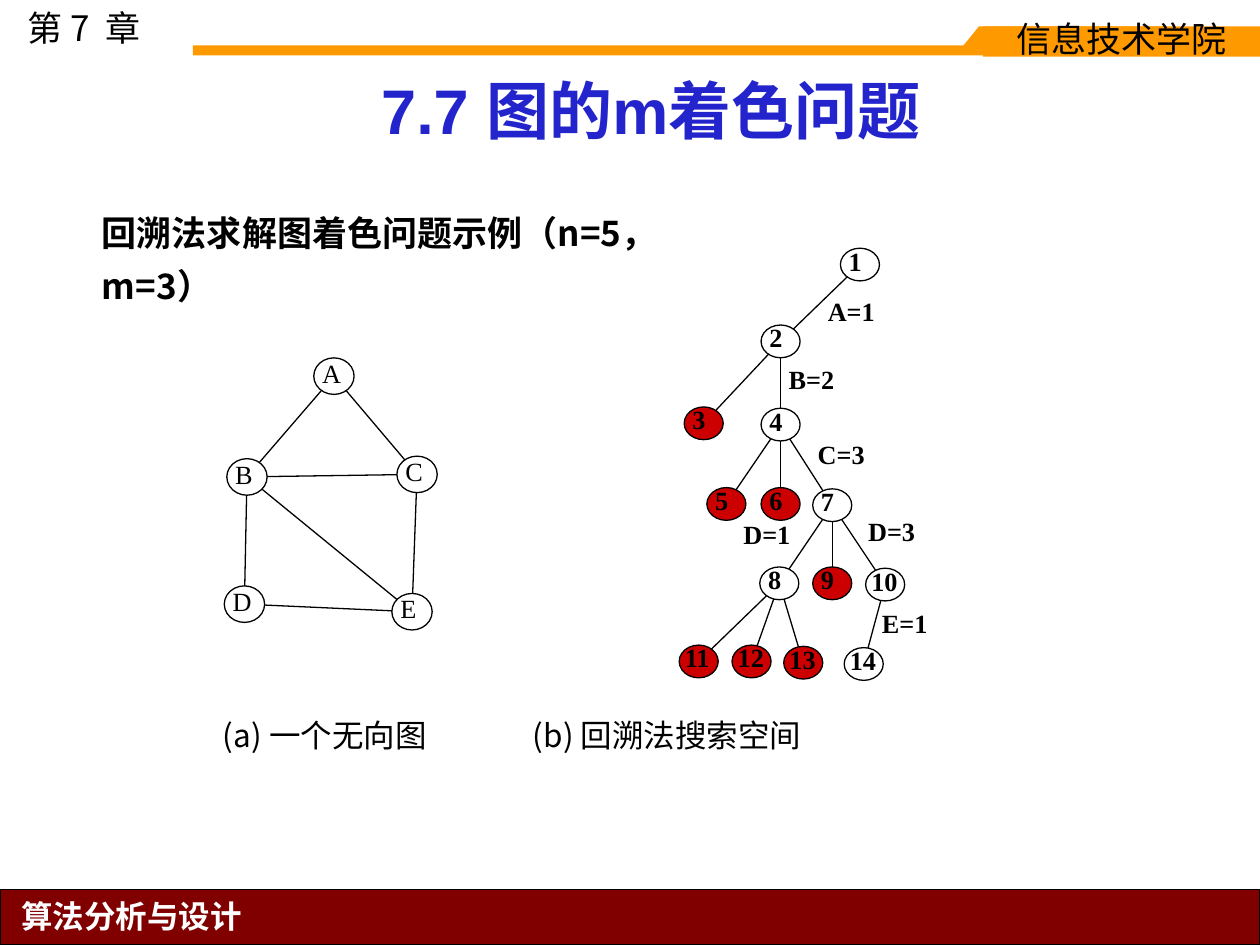
from dataclasses import dataclass
from math import hypot

from lxml.etree import SubElement
from pptx import Presentation
from pptx.dml.color import RGBColor
from pptx.enum.shapes import MSO_CONNECTOR as Connector, MSO_SHAPE as Shape
from pptx.enum.text import MSO_ANCHOR as Anchor, PP_ALIGN as Align
from pptx.oxml.ns import qn
from pptx.util import Inches, Pt

COLUMNS = 100
SANS, SERIF = "Noto Sans CJK SC", "Times New Roman"
COLORS = {"ink": "000000", "paper": "FFFFFF", "band": "FF9900", "footer": "800000",
          "title": "2324CB", "dead": "CC0000"}
GRAPH_NODES = {"A": (7.1, 0), "B": (0.2, 8), "C": (13.7, 7.8), "D": (0, 18.1), "E": (13.3, 18.7)}
GRAPH_EDGES = ["AB", "AC", "BC", "BD", "CE", "DE", "BE"]
TREE_NODES = {1: (12.8, 0), 2: (6.5, 6.1), 3: (0.4, 12.6), 4: (6.5, 12.7), 5: (2.2, 19),
              6: (6.5, 19), 7: (10.6, 19.1), 8: (6.4, 25.3), 9: (10.6, 25.3),
              10: (14.8, 25.4), 11: (0, 31.5), 12: (4.2, 31.5), 13: (8.3, 31.6), 14: (13.1, 31.7)}
TREE_CHILDREN = {1: [2], 2: [3, 4], 4: [5, 6, 7], 7: [8, 9, 10], 8: [11, 12, 13], 10: [14]}
DEAD_ENDS = {3, 5, 6, 9, 11, 12, 13}
TREE_LABELS = {"A=1": (11.8, 4.2), "B=2": (8.7, 9.6), "C=3": (11, 15.6),
               "D=1": (5.1, 21.9), "D=3": (15, 21.7), "E=1": (16.1, 29)}


@dataclass
class Box:
    """A rectangle in grid columns and rows."""
    left: float
    top: float
    width: float
    height: float

    def inside(self, left, top, width, height):
        """Return a box placed relative to this one."""
        return Box(self.left + left, self.top + top, width, height)

    def center(self):
        """Return the middle point."""
        return self.left + self.width / 2, self.top + self.height / 2

    def lengths(self, unit):
        """Return left, top, width and height in slide lengths."""
        return [round(value * unit) for value in (self.left, self.top, self.width, self.height)]


def color(name):
    """Look up a named color."""
    return RGBColor.from_string(COLORS[name])


def write(shape, text, size=20, font=SANS, ink="ink", bold=False, align=Align.LEFT,
          anchor=Anchor.TOP, spacing=1.0, margins=None, wrap=True):
    """Put formatted text in a shape and return its paragraph."""
    frame = shape.text_frame
    frame.word_wrap, frame.vertical_anchor = wrap, anchor
    if margins:
        frame.margin_left, frame.margin_top, frame.margin_right, frame.margin_bottom = map(
            Inches, margins)
    paragraph = frame.paragraphs[0]
    paragraph.alignment, paragraph.line_spacing = align, spacing
    run = paragraph.add_run()
    run.text = text
    run.font.name, run.font.size, run.font.bold = font, Pt(size), bold
    run.font.color.rgb = color(ink)
    SubElement(run.font._element, qn("a:ea")).set("typeface", SANS)
    return paragraph


def paint(shape, fill=None, line=None):
    """Give a shape its fill and outline."""
    shape.shadow.inherit = False
    if fill:
        shape.fill.solid()
        shape.fill.fore_color.rgb = color(fill)
    else:
        shape.fill.background()
    if line:
        shape.line.color.rgb = color(line)
        shape.line.width = Pt(0.75)
    else:
        shape.line.fill.background()
    return shape


def add_shape(slide, unit, box, kind=Shape.RECTANGLE, fill=None, line=None):
    """Add a painted preset shape."""
    return paint(slide.shapes.add_shape(kind, *box.lengths(unit)), fill, line)


def add_text(slide, unit, box, text, **style):
    """Add a text box."""
    return write(slide.shapes.add_textbox(*box.lengths(unit)), text, **style)


def rim_point(box, target):
    """Find where the way to a target leaves the ellipse in a box."""
    x, y = box.center()
    across, down = target[0] - x, target[1] - y
    share = 1 / hypot(across / (box.width / 2), down / (box.height / 2))
    return x + across * share, y + down * share


def add_edge(slide, unit, first, second):
    """Join the rims of two nodes with a line."""
    points = rim_point(first, second.center()) + rim_point(second, first.center())
    edge = slide.shapes.add_connector(Connector.STRAIGHT, *[round(value * unit) for value in points])
    edge.line.color.rgb = color("ink")
    edge.line.width = Pt(0.75)
    SubElement(edge._element.spPr, qn("a:effectLst"))


def add_network(slide, unit, box, nodes, edges, size, filled=(), **style):
    """Draw labelled elliptical nodes and the edges between them."""
    places = {name: box.inside(*spot, *size) for name, spot in nodes.items()}
    for first, second in edges:
        add_edge(slide, unit, places[first], places[second])
    for name, place in places.items():
        fill = "dead" if name in filled else None
        node = add_shape(slide, unit, place, Shape.OVAL, fill, "ink")
        inset = 0.02 if len(str(name)) == 1 else 0
        write(node, str(name), size=15, font=SERIF, margins=(inset, 0, 0, 0), **style)


def header(slide, unit, box):
    """Draw the chapter mark and the orange band."""
    add_text(slide, unit, box.inside(1.2, 0, 13.4, 4.3), "第 7  章")
    for place in [(15.3, 3.6, 77.2, 0.8), (77.7, 2.1, 14.8, 1.6)]:
        add_shape(slide, unit, box.inside(*place), fill="band")
    corner = box.inside(76.4, 2.1, 1.3, 1.6)
    left, top, width, height = corner.lengths(unit)
    builder = slide.shapes.build_freeform(left, top + height)
    builder.add_line_segments([(left + width, top + height), (left + width, top)])
    paint(builder.convert_to_shape(), "band")
    school = add_shape(slide, unit, box.inside(78, 2.1, 22, 2.4), fill="band")
    write(school, "信息技术学院", font="DejaVu Sans", align=Align.CENTER,
          anchor=Anchor.MIDDLE, spacing=0.9)


def footer(slide, unit, box):
    """Draw the course name on its bar."""
    add_shape(slide, unit, box, fill="footer", line="ink")
    add_text(slide, unit, box.inside(0.6, 0.1, 19.7, 4), "算法分析与设计", size=18,
             ink="paper", bold=True, align=Align.CENTER, wrap=False)


def headings(slide, unit, box):
    """Fill the title and the line that introduces the example."""
    title = slide.shapes.title
    title.left, title.top, title.width, title.height = box.inside(1.2, 0, 86.7, 7.1).lengths(unit)
    write(title, "7.7 图的m着色问题", size=36, font="Arial", ink="title", bold=True,
          align=Align.CENTER, anchor=Anchor.BOTTOM, spacing=0.9)
    add_text(slide, unit, box.inside(0, 10.3, 52.9, 11), "回溯法求解图着色问题示例（n=5，m=3）",
             bold=True, spacing=1.25)


def graph(slide, unit, box):
    """Draw the undirected graph."""
    add_network(slide, unit, box, GRAPH_NODES, GRAPH_EDGES, (3.2, 2.9), spacing=0.8)


def search_tree(slide, unit, box):
    """Draw the search tree with its color choices."""
    edges = [(parent, child) for parent, children in TREE_CHILDREN.items() for child in children]
    add_network(slide, unit, box, TREE_NODES, edges, (3.1, 2.6), DEAD_ENDS,
                spacing=0.72, bold=True)
    for text, spot in TREE_LABELS.items():
        add_text(slide, unit, box.inside(*spot, 4.4, 2.2), text, size=15, font=SERIF,
                 bold=True, spacing=0.8, margins=(0, 0, 0, 0))


def captions(slide, unit, box):
    """Write both captions on one line with a tab stop between them."""
    paragraph = add_text(slide, unit, box, "(a) 一个无向图\t(b) 回溯法搜索空间",
                         size=18, margins=(0, 0, 0, 0))
    stops = SubElement(paragraph._p.get_or_add_pPr(), qn("a:tabLst"))
    SubElement(stops, qn("a:tab"), pos=str(round(24.6 * unit)), algn="l")


def main():
    """Build and save the slide."""
    presentation = Presentation()
    presentation.slide_width, presentation.slide_height = Inches(10), Inches(7.5)
    slide = presentation.slides.add_slide(presentation.slide_layouts[5])
    unit = presentation.slide_width / COLUMNS
    header(slide, unit, Box(0, 0, 100, 4.5))
    footer(slide, unit, Box(0, 70.6, 100, 4.4))
    headings(slide, unit, Box(7.1, 5.2, 87.9, 21.3))
    graph(slide, unit, Box(17.8, 28.4, 16.9, 21.6))
    search_tree(slide, unit, Box(53.9, 19.7, 20.5, 34.3))
    captions(slide, unit, Box(17.7, 56.8, 70.3, 4.9))
    presentation.save("out.pptx")


if __name__ == "__main__":
    main()
